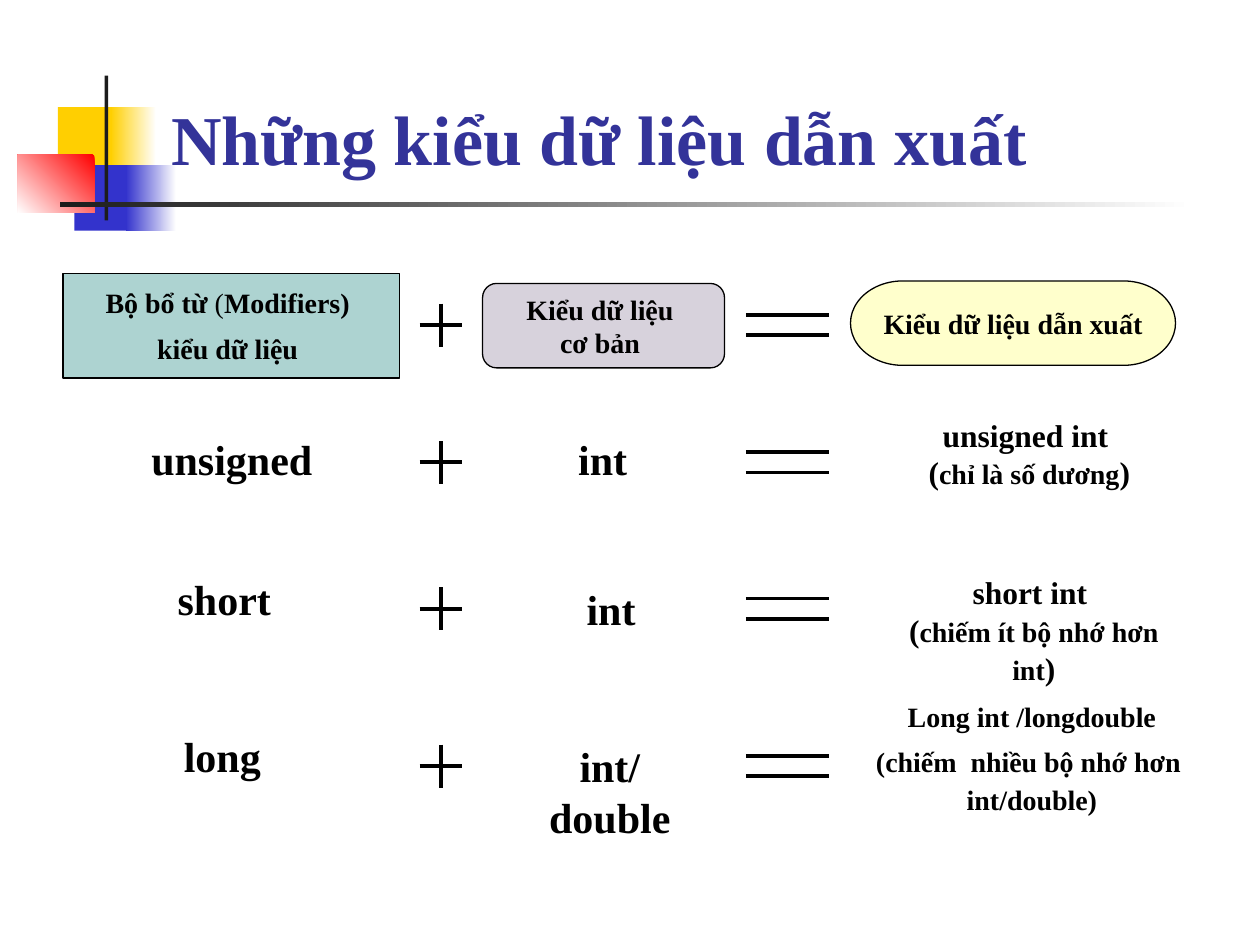
from pptx import Presentation
from pptx.dml.color import RGBColor
from pptx.enum.shapes import MSO_CONNECTOR as Conn, MSO_SHAPE as Kind
from pptx.enum.text import MSO_ANCHOR as Anchor, PP_ALIGN as Align
from pptx.oxml import parse_xml
from pptx.oxml.ns import nsdecls
from pptx.util import Inches, Pt

FONT = "Times New Roman"
BLACK = "000000"
ROWS = [2.58, 3.67, 4.83, 6.08]

BLOCKS = [
    ((0.46, 0.85, 0.48, 0.52), ["FFCF01"], 0),
    ((0.88, 0.85, 0.36, 0.52), ["FFFFFF", "FFCF01"], 180),
    ((0.59, 1.31, 0.46, 0.52), ["3333CC"], 0),
    ((1, 1.31, 0.4, 0.52), ["FFFFFF", "3333CC"], 180),
    ((0.14, 1.23, 0.61, 0.46), ["FF0000", "FFFFFF"], 225),
    ((0.83, 0.6, 0.03, 1.15), ["1C1C1C"], 0),
    ((0.48, 1.6, 9, 0.04), ["FFFFFF", "1C1C1C"], 180),
]

HEADS = [
    (Kind.RECTANGLE, (0.5, 2.17, 2.67, 0.83), "ADD3D1",
     [[("Bộ bổ từ", 16, True), (" (", 16, False), ("Modifiers) ", 16, True)],
      "kiểu dữ liệu "], 7),
    (Kind.ROUNDED_RECTANGLE, (3.83, 2.25, 1.92, 0.67), "D7D2DC",
     ["Kiểu dữ liệu ", "cơ bản "], 0),
    (Kind.FLOWCHART_TERMINATOR, (6.75, 2.23, 2.58, 0.67), "FFFFCC",
     ["Kiểu dữ liệu dẫn xuất"], 0),
]

WORDS = [
    ((1.1, 3.39, 1.48, 0.5), "unsigned"),
    ((4.49, 3.39, 0.67, 0.5), "int "),
    ((1.31, 4.5, 0.94, 0.5), "short"),
    ((4.45, 4.58, 0.8, 0.5), "int"),
    ((1.36, 5.75, 0.81, 0.5), "long"),
    ((4.02, 5.83, 1.64, 0.5), "int/double"),
]

NOTES = [
    ((6.92, 3.25, 2.5, 0.7), "unsigned int ", "chỉ là số dương"),
    ((6.92, 4.5, 2.57, 0.7), "short int ", "chiếm ít bộ nhớ hơn int"),
]


def color(code):
    return RGBColor.from_string(code)


def place(box):
    return [Inches(n) for n in box]


def style(run, size, bold, ink):
    font = run.font
    font.name, font.size, font.bold = FONT, Pt(size), bold
    font.color.rgb = color(ink)


def write(frame, lines, size=16, ink=BLACK, align=Align.CENTER):
    frame.word_wrap = False
    for i, line in enumerate(lines):
        para = frame.add_paragraph() if i else frame.paragraphs[0]
        para.alignment = align
        if isinstance(line, str):
            para.text = line
            style(para.runs[0], size, True, ink)
            continue
        for text, points, bold in line:
            run = para.add_run()
            run.text = text
            style(run, points, bold, ink)


def label(slide, box, lines, **look):
    frame = slide.shapes.add_textbox(*place(box)).text_frame
    write(frame, lines, **look)
    return frame


def block(slide, box, tints, angle):
    shape = slide.shapes.add_shape(Kind.RECTANGLE, *place(box))
    shape.shadow.inherit = False
    shape.line.fill.background()
    if len(tints) == 1:
        shape.fill.solid()
        shape.fill.fore_color.rgb = color(tints[0])
        return
    shape.fill.gradient()
    shape.fill.gradient_angle = angle
    for stop, tint in zip(shape.fill.gradient_stops, tints):
        stop.color.rgb = color(tint)


def head(slide, kind, box, tint, lines, gap):
    shape = slide.shapes.add_shape(kind, *place(box))
    shape.shadow.inherit = False
    shape.fill.solid()
    shape.fill.fore_color.rgb = color(tint)
    shape.line.color.rgb = color(BLACK)
    shape.line.width = Pt(0.75)
    frame = shape.text_frame
    frame.vertical_anchor = Anchor.MIDDLE
    write(frame, lines)
    frame.paragraphs[-1].space_before = Pt(gap)


def stroke(slide, *ends):
    line = slide.shapes.add_connector(Conn.STRAIGHT, *place(ends))
    line.line.color.rgb = color(BLACK)
    line.line.width = Pt(2.25)
    line._element.spPr.append(parse_xml(f"<a:effectLst {nsdecls('a')}/>"))


def signs(slide, y):
    stroke(slide, 3.5, y - 0.17, 3.5, y + 0.17)
    stroke(slide, 3.33, y, 3.67, y)
    for side in (-0.08, 0.08):
        stroke(slide, 5.92, y + side, 6.58, y + side)


def main():
    deck = Presentation()
    deck.slide_width, deck.slide_height = Inches(10), Inches(7.5)
    slide = deck.slides.add_slide(deck.slide_layouts[6])
    for item in BLOCKS:
        block(slide, *item)
    title = label(slide, (1.26, 0.58, 8.41, 0.89), ["Những kiểu dữ liệu dẫn xuất"],
                  size=40, ink="333399", align=Align.LEFT)
    title.vertical_anchor = Anchor.BOTTOM
    title.word_wrap = True
    for y in ROWS:
        signs(slide, y)
    for item in HEADS:
        head(slide, *item)
    for box, word in WORDS:
        label(slide, box, [word], size=24)
    for box, name, note in NOTES:
        label(slide, box, [name, [("(", 18, True), (note, 16, True), (")", 18, True)]],
              size=18)
    last = label(slide, (6.84, 5.5, 2.7, 1.04),
                 ["Long int /longdouble", "(chiếm  nhiều bộ nhớ hơn ", "int/double)"])
    last.paragraphs[1].space_before = Pt(7)
    last.paragraphs[2].space_before = Pt(2)
    deck.save("out.pptx")


if __name__ == "__main__":
    main()
